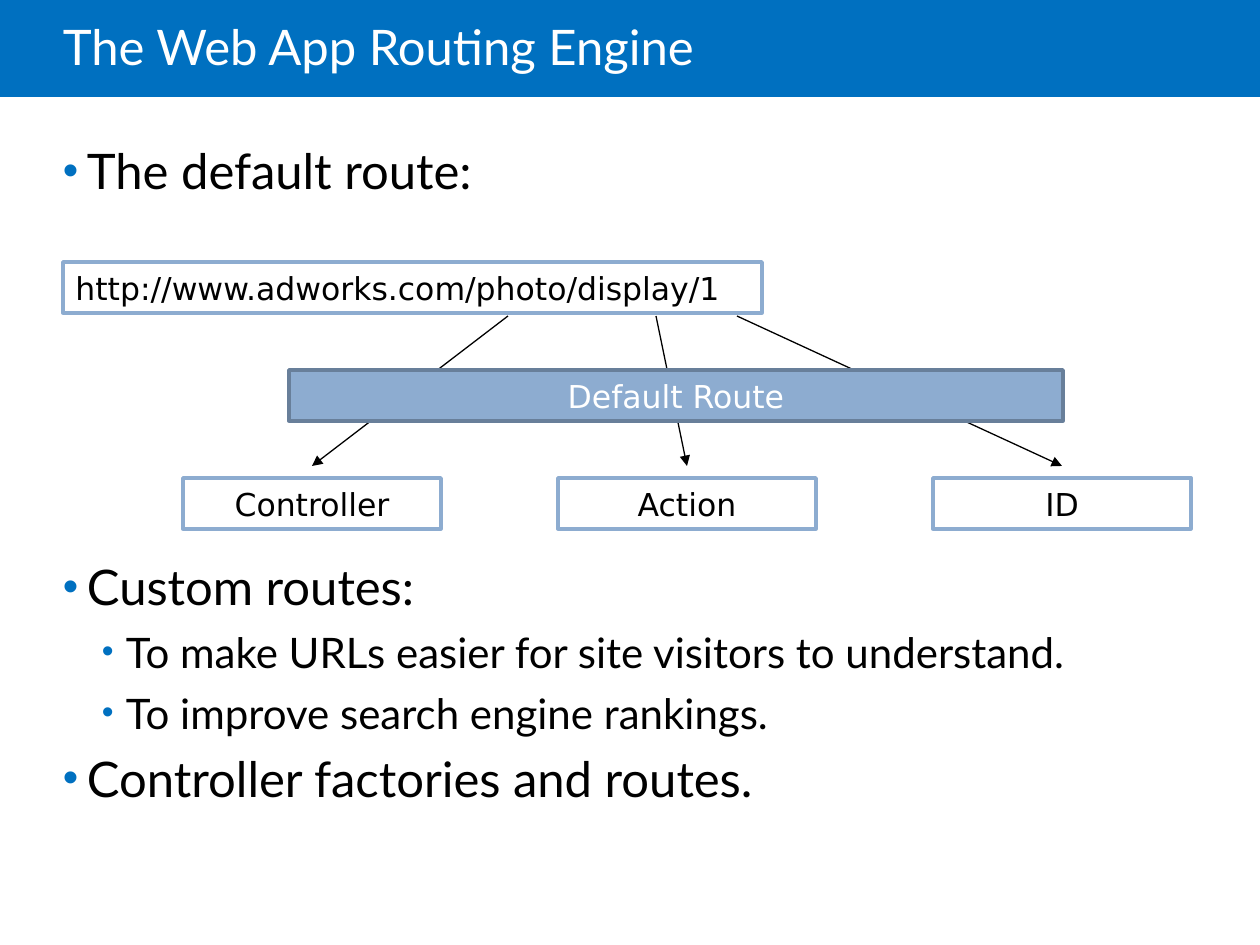
from dataclasses import dataclass

from lxml.etree import SubElement
from pptx import Presentation
from pptx.dml.color import RGBColor as RGB
from pptx.enum.shapes import MSO_CONNECTOR as Link, MSO_SHAPE as Shape
from pptx.enum.text import MSO_ANCHOR as Anchor, PP_ALIGN as Align
from pptx.oxml.ns import qn
from pptx.util import Emu, Pt


@dataclass(frozen=True)
class Theme:
    blue: str = "0070C0"
    steel: str = "8DACD0"
    slate: str = "687F9A"
    white: str = "FFFFFF"
    black: str = "000000"
    font: str = "Lato"
    mono: str = "DejaVu Sans"
    head: int = 28
    sub: int = 24
    label: int = 18
    edge: float = 2
    thin: float = 0.75


T = Theme()

# text, level, space before in points; the large gap leaves room for the diagram
POINTS = [
    ("The default route:", 0, 6),
    ("Custom routes:", 0, 204),
    ("To make URLs easier for site visitors to understand.", 1, 6),
    ("To improve search engine rankings.", 1, 6),
    ("Controller factories and routes.", 0, 6),
]
# part of the route, x below its segment of the address
PARTS = [("Controller", 508), ("Action", 656), ("ID", 737)]
PART_X, PART_Y, PART_W, STEP, BOX_H = 183, 478, 258, 375, 51


def px(n):
    return Emu(round(n * 914400 / 126))


def style(para, size, color, font):
    for run in para.runs:
        run.font.size = Pt(size)
        run.font.name = font
        run.font.color.rgb = RGB.from_string(color)


def add_rect(slide, area, fill, edge=None):
    rect = slide.shapes.add_shape(Shape.RECTANGLE, *map(px, area))
    rect.shadow.inherit = False
    rect.fill.solid()
    rect.fill.fore_color.rgb = RGB.from_string(fill)
    if edge:
        rect.line.color.rgb = RGB.from_string(edge)
        rect.line.width = Pt(T.edge)
    else:
        rect.line.fill.background()
    return rect


def add_label(slide, text, area, fill=T.white, edge=T.steel,
              color=T.black, align=Align.CENTER):
    frame = add_rect(slide, area, fill, edge).text_frame
    frame.text = text
    frame.word_wrap = True
    para = frame.paragraphs[0]
    para.alignment = align
    style(para, T.label, color, T.mono)


def add_frame(slide, area):
    frame = slide.shapes.add_textbox(*map(px, area)).text_frame
    frame.word_wrap = True
    frame.margin_left = 0
    return frame


def add_title(slide, text):
    add_rect(slide, (0, 0, 1260, 97), T.blue)
    frame = add_frame(slide, (63, 0, 1071, 102))
    frame.vertical_anchor = Anchor.MIDDLE
    frame.text = text
    para = frame.paragraphs[0]
    para.line_spacing = 0.85
    style(para, T.head, T.white, T.font)


def set_bullet(para, left, scale):
    props = para._p.get_or_add_pPr()
    props.set("marL", str(px(left)))
    props.set("indent", str(px(-24)))
    color = SubElement(props, qn("a:buClr"))
    SubElement(color, qn("a:srgbClr"), val=T.blue)
    SubElement(props, qn("a:buSzPct"), val=str(scale * 1000))
    SubElement(props, qn("a:buFont"), typeface="Arial")
    SubElement(props, qn("a:buChar"), char="•")


def add_points(slide):
    frame = add_frame(slide, (63, 141, 1119, 709))
    frame.margin_top = frame.margin_right = frame.margin_bottom = 0
    frame.text = "\n".join(text for text, _, _ in POINTS)
    for para, (_, level, gap) in zip(frame.paragraphs, POINTS):
        para.level = level
        para.space_before = Pt(gap)
        left, scale, size = ((24, 90, T.head), (63, 80, T.sub))[level]
        set_bullet(para, left, scale)
        style(para, size, T.black, T.font)


def add_arrow(slide, *ends):
    arrow = slide.shapes.add_connector(Link.STRAIGHT, *map(px, ends))
    arrow.line.color.rgb = RGB.from_string(T.black)
    arrow.line.width = Pt(T.thin)
    SubElement(arrow.line._get_or_add_ln(), qn("a:tailEnd"), type="triangle")
    SubElement(arrow._element.spPr, qn("a:effectLst"))


def add_routes(slide):
    add_label(slide, "http://www.adworks.com/photo/display/1",
              (63, 262, 699, BOX_H), align=Align.LEFT)
    for i, (name, start) in enumerate(PARTS):
        left = PART_X + i * STEP
        add_label(slide, name, (left, PART_Y, PART_W, BOX_H))
        add_arrow(slide, start, 316, left + PART_W // 2, PART_Y - 12)
    add_label(slide, "Default Route", (289, 370, 774, BOX_H),
              T.steel, T.slate, T.white)


def main():
    deck = Presentation()
    deck.slide_width, deck.slide_height = px(1260), px(945)
    slide = deck.slides.add_slide(deck.slide_layouts[6])
    add_title(slide, "The Web App Routing Engine")
    add_points(slide)
    add_routes(slide)
    deck.save("out.pptx")


if __name__ == "__main__":
    main()
